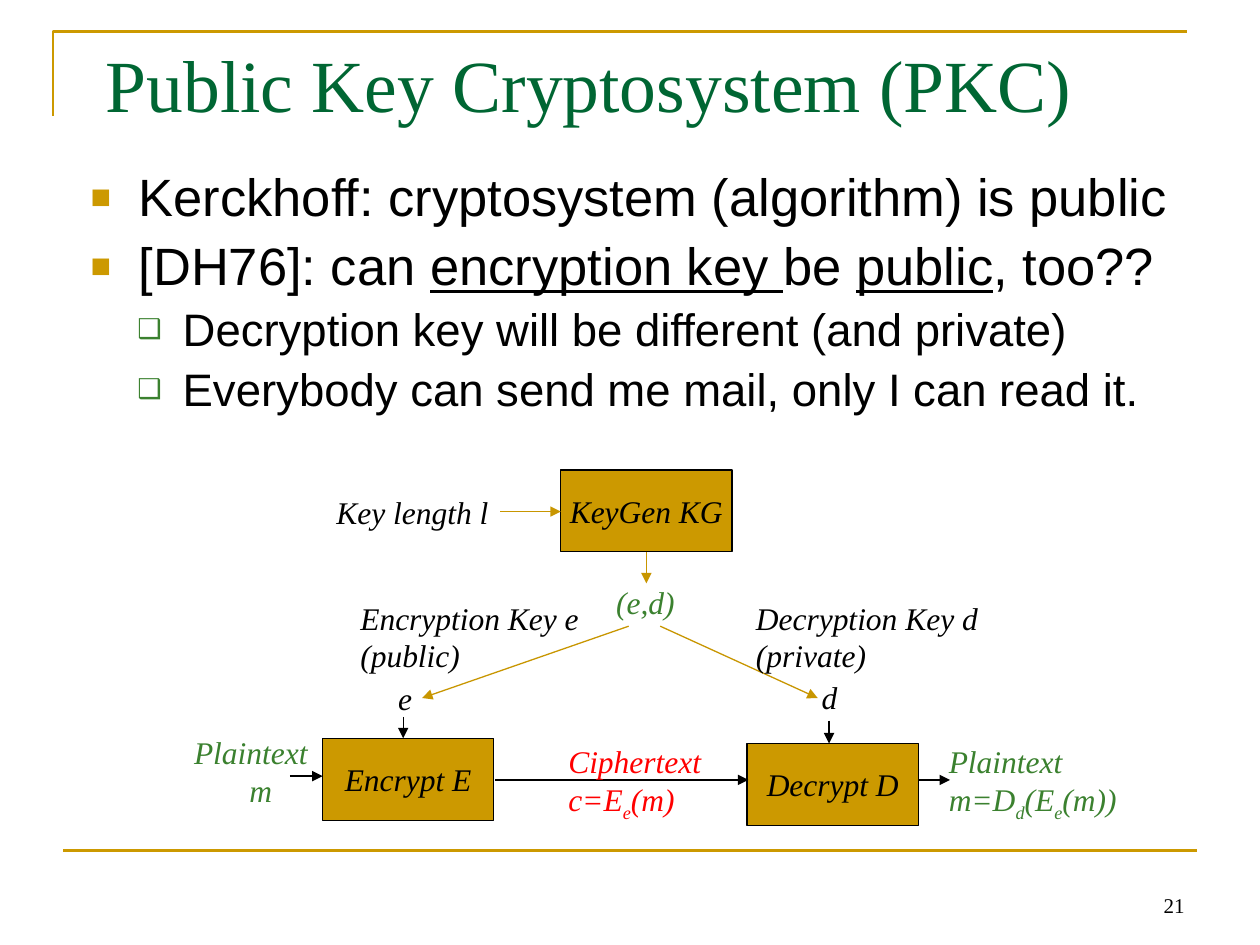
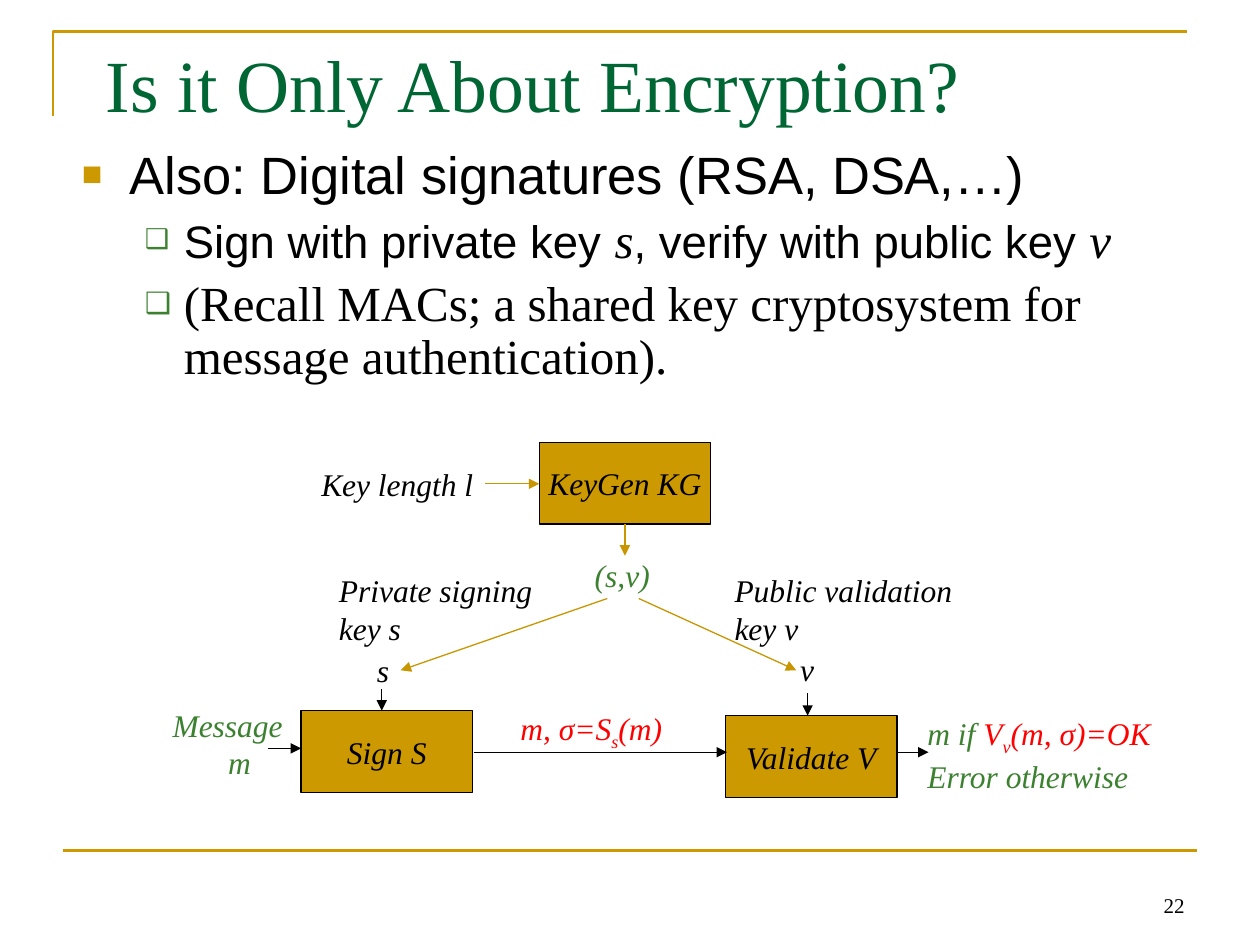
from dataclasses import dataclass
from typing import NamedTuple

from lxml import etree
from pptx import Presentation
from pptx.dml.color import RGBColor
from pptx.enum.shapes import MSO_CONNECTOR, MSO_SHAPE
from pptx.enum.text import MSO_ANCHOR, MSO_AUTO_SIZE, PP_ALIGN
from pptx.oxml.ns import qn
from pptx.util import Emu, Pt

STRAIGHT = MSO_CONNECTOR.STRAIGHT
RECTANGLE = MSO_SHAPE.RECTANGLE
TOP, MIDDLE, BOTTOM = MSO_ANCHOR.TOP, MSO_ANCHOR.MIDDLE, MSO_ANCHOR.BOTTOM
LEFT, CENTER, RIGHT = PP_ALIGN.LEFT, PP_ALIGN.CENTER, PP_ALIGN.RIGHT
NO_FIT = MSO_AUTO_SIZE.NONE

EMU_PER_PX = 9144  # 100 px to the inch


@dataclass(frozen=True)
class Theme:
    gold: str = "CC9900"
    arrow_gold: str = "C89600"
    title_green: str = "006633"
    green: str = "3B812F"
    red: str = "FF0000"
    black: str = "000000"
    serif: str = "Times New Roman"
    sans: str = "Arial"
    title_size: int = 42
    body_sizes: tuple[int, int] = (30, 26)
    symbol_size: int = 28
    diagram_size: int = 18
    number_size: int = 12
    rule_width: float = 1.5
    thin_width: float = 0.75


THEME = Theme()


class Span(NamedTuple):
    text: str
    style: dict = {}


class Place(NamedTuple):
    left: int
    top: int
    width: int
    height: int


class Bullet(NamedTuple):
    level: int
    spans: list[Span]


class BulletStyle(NamedTuple):
    symbol: str
    color: str
    percent: int


class Line(NamedTuple):
    spans: list[Span]
    indent: int = 0


class Label(NamedTuple):
    """Diagram text; right and down move it off its usual place."""
    width: int
    lines: list[Line]
    color: str = THEME.black
    right: int = 0
    down: int = 0


class Arrow(NamedTuple):
    start: tuple[int, int]
    end: tuple[int, int]
    color: str = THEME.black


@dataclass(frozen=True)
class KeyPage:
    number: str
    title: str
    body: Place
    sub_indent: tuple[int, int]
    bullets: list[Bullet]
    shift: tuple[int, int]
    steps: list[str]
    labels: list[Label]


UNDERLINE = {"underline": True}
SUBSCRIPT = {"subscript": True}
RED = {"color": THEME.red}
SYMBOL = {"font": THEME.serif, "size": THEME.symbol_size, "italic": True}

BULLET_STYLES = [BulletStyle("■", THEME.gold, 65), BulletStyle("❑", THEME.green, 60)]
MAIN_INDENT = (38, -38)
STEP_SIZE = (136, 65)
STEP_CORNERS = [(445, 373), (256, 586), (593, 590)]
# key length, key pair, left key name, right key name, left key, right key,
# input, message sent, output
LABEL_CORNERS = [(260, 387), (482, 459), (279, 471), (593, 471), (309, 535),
                 (645, 534), (147, 578), (444, 585), (746, 585)]
ARROWS = [
    Arrow((513, 438), (513, 463), THEME.arrow_gold),
    Arrow((499, 497), (335, 554), THEME.arrow_gold),
    Arrow((524, 497), (649, 554), THEME.arrow_gold),
    Arrow((320, 569), (320, 586)),
    Arrow((658, 572), (658, 590)),
    Arrow((230, 616), (256, 616)),
    Arrow((393, 619), (594, 619)),
    Arrow((729, 619), (754, 619)),
]


def plain(*texts: str) -> list[Line]:
    return [Line([Span(text)]) for text in texts]


def input_lines(name: str) -> list[Line]:
    return [Line([Span(name)]), Line([Span("m")], indent=44)]


PAGES = [
    KeyPage(
        "21", "Public Key Cryptosystem (PKC)", Place(62, 131, 881, 478), (73, -36),
        [
            Bullet(0, [Span("Kerckhoff: cryptosystem (algorithm) is public")]),
            Bullet(0, [Span("[DH76]: can "), Span("encryption key ", UNDERLINE),
                       Span("be "), Span("public", UNDERLINE), Span(", too??")]),
            Bullet(1, [Span("Decryption key will be different (and private)")]),
            Bullet(1, [Span("Everybody can send me mail, only I can read it.")]),
        ],
        (0, 0), ["KeyGen KG", "Encrypt E", "Decrypt D"],
        [
            Label(137, plain("Key length l")),
            Label(62, plain("(e,d)"), THEME.green),
            Label(190, plain("Encryption Key e", "(public)")),
            Label(193, plain("Decryption Key d", "(private)")),
            Label(26, plain("e")),
            Label(28, plain("d")),
            Label(106, input_lines("Plaintext"), THEME.green),
            Label(121, [Line([Span("Ciphertext")]),
                        Line([Span("c=E"), Span("e", SUBSCRIPT), Span("(m)")])], THEME.red),
            Label(152, [Line([Span("Plaintext")]),
                        Line([Span("m=D"), Span("d", SUBSCRIPT), Span("(E"),
                              Span("e", SUBSCRIPT), Span("(m))")])], THEME.green),
        ],
    ),
    KeyPage(
        "22", "Is it Only About Encryption?", Place(55, 113, 881, 209), (81, -31),
        [
            Bullet(0, [Span("Also: Digital signatures (RSA, DSA,…)")]),
            Bullet(1, [Span("Sign with private key "), Span("s", SYMBOL),
                       Span(", verify with public key "), Span("v", SYMBOL)]),
            Bullet(1, [Span("(Recall MACs; a shared key cryptosystem for message "
                            "authentication).", SYMBOL | {"italic": False})]),
        ],
        (-17, -22), ["KeyGen KG", "Sign S", "Validate V"],
        [
            Label(137, plain("Key length l"), right=5),
            Label(59, plain("(s,v)"), THEME.green),
            Label(170, plain("Private signing", "key s")),
            Label(190, plain("Public validation", "key v")),
            Label(25, plain("s")),
            Label(26, plain("v")),
            Label(103, input_lines("Message"), THEME.green),
            Label(129, [Line([Span("m, σ=S"), Span("s", SUBSCRIPT), Span("(m)")])],
                  THEME.red, right=-21, down=-4),
            Label(195, [Line([Span("m if "), Span("V", RED), Span("v", RED | SUBSCRIPT),
                              Span("(m, σ)=OK", RED)]),
                        Line([Span("Error otherwise")])], THEME.green),
        ],
    ),
]


def px(length: int) -> Emu:
    return Emu(length * EMU_PER_PX)


def rgb(color: str) -> RGBColor:
    return RGBColor.from_string(color)


def add_span(para, text: str, *, font: str = THEME.serif, size: int = THEME.diagram_size,
             color: str = THEME.black, italic: bool = False, underline: bool = False,
             subscript: bool = False) -> None:
    span = para.add_run()
    span.text = text
    span.font.name, span.font.size = font, Pt(size)
    span.font.color.rgb = rgb(color)
    span.font.italic, span.font.underline = italic, underline
    if subscript:
        span.font._element.set("baseline", "-25000")


def place_shape(shape, place: Place) -> None:
    shape.left, shape.top, shape.width, shape.height = map(px, place)


def next_para(frame, index: int):
    return frame.add_paragraph() if index else frame.paragraphs[0]


def draw_frame(page, number: str) -> None:
    """Draw the corner rule, the bottom rule and the page number."""
    builder = page.shapes.build_freeform(42, 92, scale=EMU_PER_PX)
    builder.add_line_segments([(42, 25), (942, 25)], close=False)
    corner = builder.convert_to_shape()
    corner.shadow.inherit = False
    corner.fill.background()
    corner.line.color.rgb = rgb(THEME.gold)
    corner.line.width = Pt(THEME.rule_width)
    draw_line(page, (50, 675), (950, 675), THEME.gold, THEME.rule_width)
    box = page.shapes.add_textbox(*map(px, Place(717, 683, 233, 50)))
    box.text_frame.word_wrap = True
    box.text_frame.vertical_anchor = BOTTOM
    para = box.text_frame.paragraphs[0]
    para.alignment = RIGHT
    add_span(para, number, size=THEME.number_size)


def draw_line(page, start: tuple[int, int], end: tuple[int, int], color: str,
              width: float, arrow: bool = False) -> None:
    line = page.shapes.add_connector(STRAIGHT, *map(px, start + end))
    line.line.color.rgb = rgb(color)
    line.line.width = Pt(width)
    properties = line.element.spPr
    if arrow:
        etree.SubElement(properties.find(qn("a:ln")), qn("a:tailEnd"), type="triangle")
    etree.SubElement(properties, qn("a:effectLst"))


def write_title(page, text: str) -> None:
    title = page.shapes.title
    place_shape(title, Place(74, 26, 850, 125))
    frame = title.text_frame
    frame.vertical_anchor, frame.auto_size = TOP, NO_FIT
    para = frame.paragraphs[0]
    para.alignment = LEFT
    add_span(para, text, size=THEME.title_size, color=THEME.title_green)


def set_indent(para, left: int, first: int = 0) -> None:
    properties = para._p.get_or_add_pPr()
    properties.set("marL", str(px(left)))
    properties.set("indent", str(px(first)))


def set_bullet(para, style: BulletStyle) -> None:
    properties = para._p.get_or_add_pPr()
    color = etree.SubElement(properties, qn("a:buClr"))
    etree.SubElement(color, qn("a:srgbClr"), val=style.color)
    etree.SubElement(properties, qn("a:buSzPct"), val=str(style.percent * 1000))
    etree.SubElement(properties, qn("a:buFont"), typeface=THEME.sans)
    etree.SubElement(properties, qn("a:buChar"), char=style.symbol)


def write_bullets(page, content: KeyPage) -> None:
    body = page.placeholders[1]
    place_shape(body, content.body)
    frame = body.text_frame
    frame.auto_size = NO_FIT
    for index, bullet in enumerate(content.bullets):
        para = next_para(frame, index)
        size = THEME.body_sizes[bullet.level]
        para.level = bullet.level
        para.line_spacing = 0.9
        para.space_before = Pt(round(size * 0.23) if index else 0)
        set_indent(para, *(content.sub_indent if bullet.level else MAIN_INDENT))
        set_bullet(para, BULLET_STYLES[bullet.level])
        for text, style in bullet.spans:
            add_span(para, text, **({"font": THEME.sans, "size": size} | style))


def set_tight_frame(frame) -> None:
    frame.word_wrap = False
    frame.margin_left = frame.margin_right = px(7)
    frame.margin_top = frame.margin_bottom = px(4)


def draw_step(page, left: int, top: int, text: str) -> None:
    step = page.shapes.add_shape(RECTANGLE, *map(px, Place(left, top, *STEP_SIZE)))
    step.shadow.inherit = False
    step.fill.solid()
    step.fill.fore_color.rgb = rgb(THEME.gold)
    step.line.color.rgb = rgb(THEME.black)
    step.line.width = Pt(THEME.thin_width)
    set_tight_frame(step.text_frame)
    step.text_frame.vertical_anchor = MIDDLE
    para = step.text_frame.paragraphs[0]
    para.alignment = CENTER
    add_span(para, text, italic=True)


def draw_label(page, left: int, top: int, label: Label) -> None:
    place = Place(left, top, label.width, 8 + 30 * len(label.lines))
    box = page.shapes.add_textbox(*map(px, place))
    set_tight_frame(box.text_frame)
    for index, line in enumerate(label.lines):
        para = next_para(box.text_frame, index)
        if line.indent:
            set_indent(para, line.indent)
        for text, style in line.spans:
            add_span(para, text, **({"color": label.color, "italic": True} | style))


def draw_diagram(page, content: KeyPage) -> None:
    right, down = content.shift
    for (left, top), text in zip(STEP_CORNERS, content.steps):
        draw_step(page, left + right, top + down, text)
    key_length = content.labels[0]
    key_arrow = Arrow((397 + key_length.right, 406), (445, 406), THEME.arrow_gold)
    for (x1, y1), (x2, y2), color in [key_arrow, *ARROWS]:
        draw_line(page, (x1 + right, y1 + down), (x2 + right, y2 + down), color,
                  THEME.thin_width, arrow=True)
    for (left, top), label in zip(LABEL_CORNERS, content.labels):
        draw_label(page, left + right + label.right, top + down + label.down, label)


def main() -> None:
    deck = Presentation()
    deck.slide_width, deck.slide_height = px(1000), px(750)
    for content in PAGES:
        page = deck.slides.add_slide(deck.slide_layouts[1])
        draw_frame(page, content.number)
        write_title(page, content.title)
        write_bullets(page, content)
        draw_diagram(page, content)
    deck.save("out.pptx")


if __name__ == "__main__":
    main()
